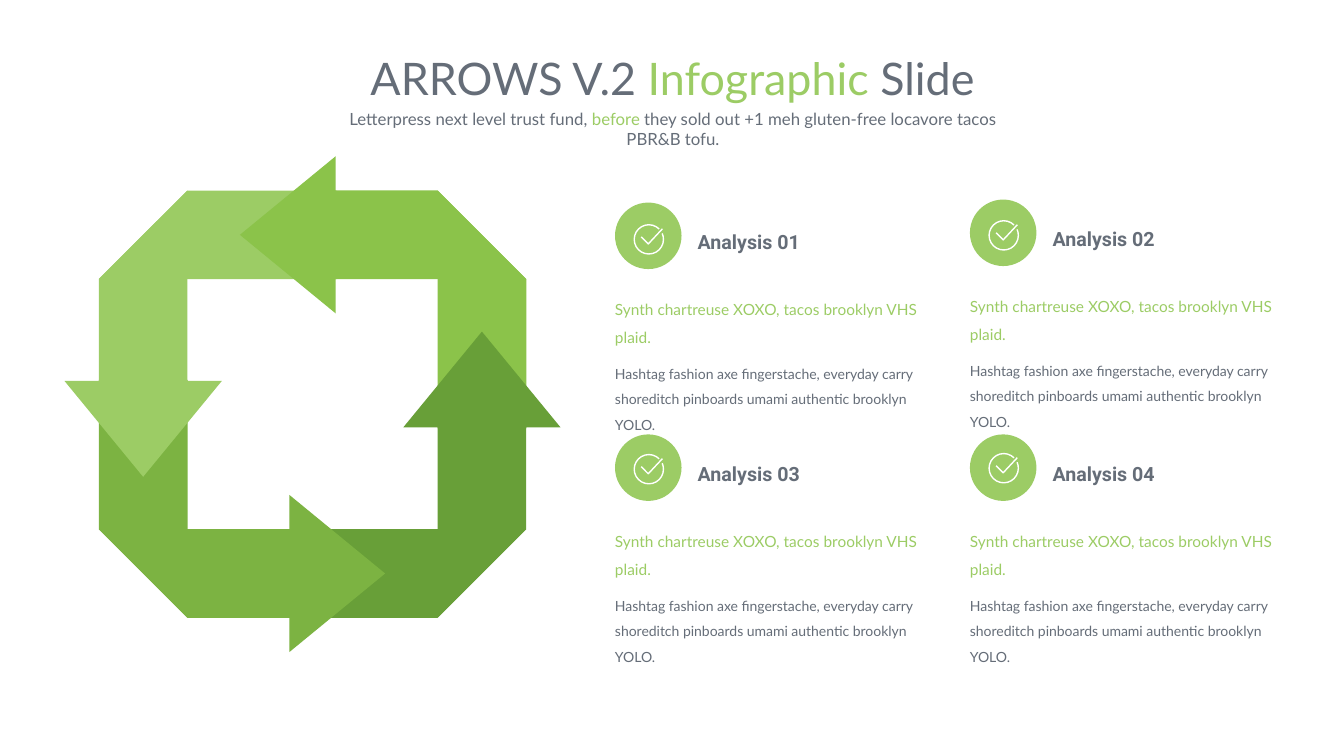
from dataclasses import dataclass

from pptx import Presentation
from pptx import util as u
from pptx.dml.color import RGBColor
from pptx.enum import shapes, text

PX = 9144  # EMU: 100 px to the inch
COLORS = {
    "slate": "656D78",
    "lime": "9CCC65",
    "leaf": "7CB342",
    "forest": "689F38",
    "grass": "8BC34A",
    "white": "FFFFFF",
}
Point = tuple[int, int]
Runs = list[tuple[str, str]]


@dataclass
class Card:
    title: str
    left: int
    top: int
    icon_drop: int


CARDS = [
    Card("Analysis 01", 610, 201, 21),
    Card("Analysis 02", 962, 198, 20),
    Card("Analysis 03", 610, 431, 19),
    Card("Analysis 04", 962, 431, 18),
]
LEAD = "Synth chartreuse XOXO, tacos brooklyn VHS plaid."
DETAIL = (
    "Hashtag fashion axe fingerstache, everyday carry shoreditch "
    "pinboards umami authentic brooklyn YOLO."
)

# The cycle is one arrow turned four times; points are relative to its centre.
CYCLE_CENTER = (310, 401)
CYCLE_COLORS = ["lime", "leaf", "forest", "grass"]
TAIL = [(-212, -124), (24, -124), (24, -212), (-124, -212)]
HEAD = [
    (-124, -212), (-212, -124), (-212, -23), (-246, -23),
    (-168, 72), (-90, -23), (-124, -23),
]
CHECK = [(8, 13), (15, 20), (29, 5)]


def px(*lengths: int) -> list[u.Emu]:
    return [u.Emu(length * PX) for length in lengths]


def rgb(name: str) -> RGBColor:
    return RGBColor.from_string(COLORS[name])


def style(shape, fill: str | None = None, line: str | None = None) -> None:
    """Give a shape a plain fill and line, without shadow."""
    shape.shadow.inherit = False
    if fill:
        shape.fill.solid()
        shape.fill.fore_color.rgb = rgb(fill)
    else:
        shape.fill.background()
    if line:
        shape.line.color.rgb = rgb(line)
        shape.line.width = u.Pt(1)
    else:
        shape.line.fill.background()


def add_outline(parent, points: list[Point], closed: bool = True):
    builder = parent.build_freeform(*points[0], scale=PX)
    builder.add_line_segments(points[1:], close=closed)
    return builder.convert_to_shape()


def add_text_frame(parent, left: int, top: int, width: int, height: int,
                   margin: int = 0, grow: bool = True, middle: bool = False):
    frame = parent.add_textbox(*px(left, top, width, height)).text_frame
    frame.word_wrap = True
    frame.auto_size = (text.MSO_AUTO_SIZE.SHAPE_TO_FIT_TEXT if grow
                       else text.MSO_AUTO_SIZE.NONE)
    frame.vertical_anchor = text.MSO_ANCHOR.MIDDLE if middle else text.MSO_ANCHOR.TOP
    frame.margin_left = frame.margin_right = u.Emu(margin * PX)
    frame.margin_top = frame.margin_bottom = u.Emu(margin * PX // 2)
    return frame


def write(paragraph, runs: Runs, size: int, font: str = "Lato",
          bold: bool = False, centered: bool = False,
          spacing: float = 1.0, before: float = 0) -> None:
    """Fill a paragraph with (text, color) runs."""
    paragraph.alignment = text.PP_ALIGN.CENTER if centered else text.PP_ALIGN.LEFT
    paragraph.line_spacing = spacing
    paragraph.space_before = u.Pt(before)
    for words, color in runs:
        run = paragraph.add_run()
        run.text = words
        run.font.name = font
        run.font.size = u.Pt(size)
        run.font.bold = bold
        run.font.color.rgb = rgb(color)


def quarter_turned(points: list[Point], turns: int) -> list[Point]:
    """Turn points counter-clockwise and place them around the cycle's centre."""
    for _ in range(turns):
        points = [(y, -x) for x, y in points]
    center_x, center_y = CYCLE_CENTER
    return [(center_x + x, center_y + y) for x, y in points]


def draw_cycle(slide) -> None:
    """Draw all tails first, so that every head covers the next tail."""
    group = slide.shapes.add_group_shape()
    for part in (TAIL, HEAD):
        for turns, color in enumerate(CYCLE_COLORS):
            style(add_outline(group.shapes, quarter_turned(part, turns)), fill=color)


def draw_check_icon(parent, left: int, top: int) -> None:
    ring = parent.add_shape(shapes.MSO_SHAPE.ARC, *px(left + 1, top + 1, 29, 29))
    for index, degrees in enumerate((336, 315)):
        ring.adjustments[index] = degrees * 0.6
    style(ring, line="white")
    check = add_outline(parent, [(left + x, top + y) for x, y in CHECK], closed=False)
    style(check, line="white")


def draw_card(slide, card: Card) -> None:
    parent = slide.shapes.add_group_shape().shapes
    badge = parent.add_shape(shapes.MSO_SHAPE.ROUNDED_RECTANGLE,
                             *px(card.left, card.top, 66, 66))
    badge.adjustments[0] = 0.5
    style(badge, fill="lime")

    title = add_text_frame(parent, card.left + 82, card.top + 21, 193, 28, middle=True)
    write(title.paragraphs[0], [(card.title, "slate")], 14,
          font="Roboto", bold=True, spacing=1.3)

    body = add_text_frame(parent, card.left, card.top + 88, 310, 87, grow=False)
    write(body.paragraphs[0], [(LEAD, "lime")], 11, spacing=1.5)
    write(body.add_paragraph(), [(DETAIL, "slate")], 10, spacing=1.5, before=7.5)

    draw_check_icon(parent, card.left + 18, card.top + card.icon_drop)


def draw_heading(slide) -> None:
    title = add_text_frame(slide.shapes, 254, 45, 826, 64, margin=10)
    write(title.paragraphs[0],
          [("ARROWS V.2 ", "slate"), ("Infographic ", "lime"), ("Slide", "slate")],
          32, centered=True)
    subtitle = add_text_frame(slide.shapes, 320, 103, 695, 30, margin=10)
    write(subtitle.paragraphs[0],
          [("Letterpress next level trust fund, ", "slate"), ("before", "lime"),
           (" they sold out +1 meh gluten-free locavore tacos PBR&B tofu.", "slate")],
          12, centered=True)


def main() -> None:
    presentation = Presentation()
    presentation.slide_width, presentation.slide_height = px(1333, 750)
    slide = presentation.slides.add_slide(presentation.slide_layouts[6])
    draw_heading(slide)
    draw_cycle(slide)
    for card in CARDS:
        draw_card(slide, card)
    presentation.save("out.pptx")


if __name__ == "__main__":
    main()
